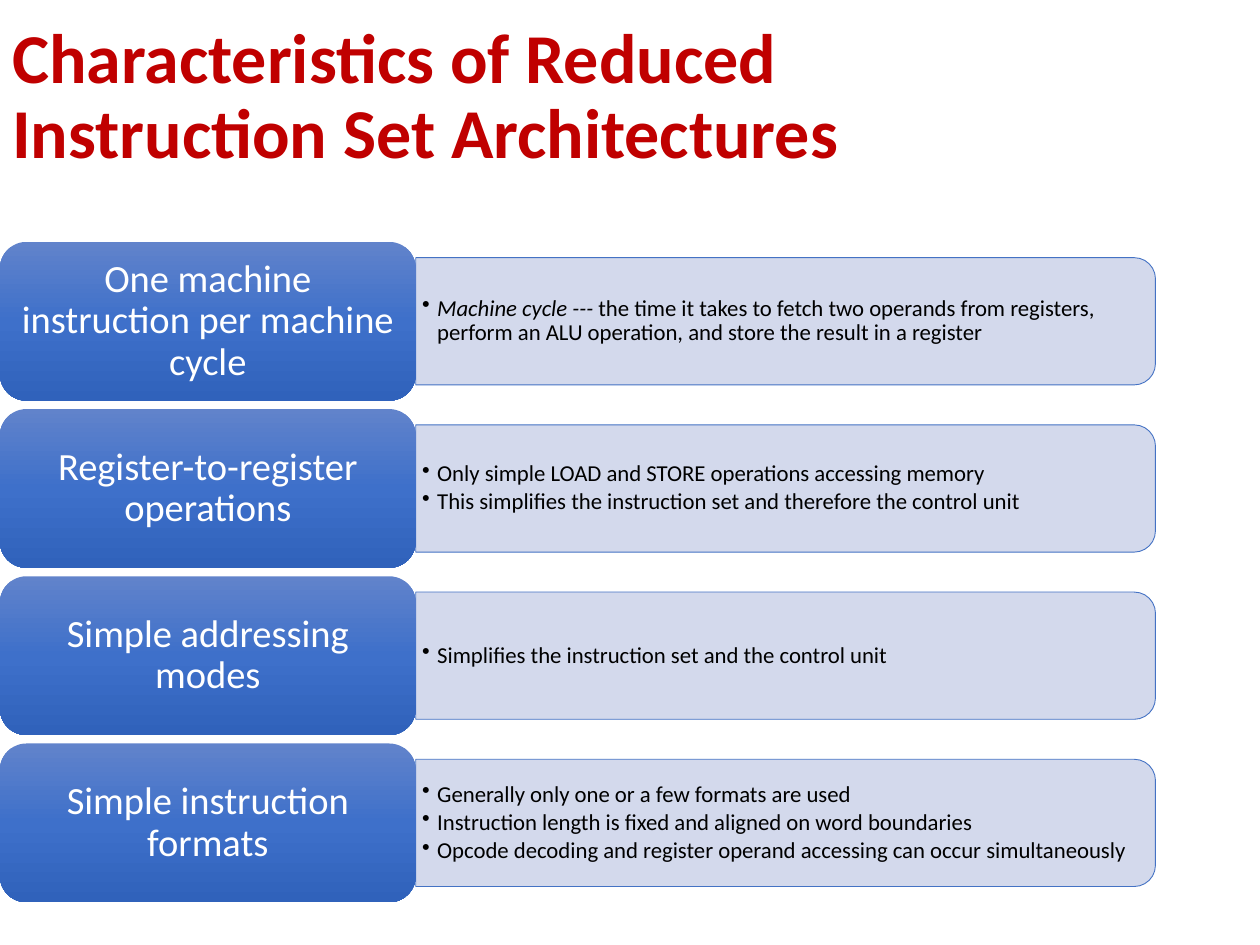
from copy import deepcopy

from lxml import etree
from pptx import Presentation
from pptx.dml.color import RGBColor
from pptx.enum import shapes, text
from pptx.oxml import ns
from pptx.util import Inches, Pt

COLUMNS, ROWS = 100, 75


def color(value):
    return RGBColor.from_string(value)


class Deck:
    font = "Calibri"
    title_color = "C00000"
    heading_stops = ((0, "6183CB"), (0.5, "3E70CA"), (1, "3062BB"))
    detail_fill = "CFD5EA"
    detail_line = "4472C4"

    def __init__(self):
        self.file = Presentation()
        self.file.slide_width, self.file.slide_height = Inches(10), Inches(7.5)
        self.slide = self.file.slides.add_slide(self.file.slide_layouts[6])

    def place(self, left, top, width, height):
        column = self.file.slide_width / COLUMNS
        row = self.file.slide_height / ROWS
        return [round(n) for n in (left * column, top * row, width * column, height * row)]

    def frame(self, shape, side, edge):
        frame = shape.text_frame
        frame.word_wrap = True
        frame.vertical_anchor = text.MSO_ANCHOR.MIDDLE
        frame.margin_left = frame.margin_right = Inches(side)
        frame.margin_top = frame.margin_bottom = Inches(edge)
        return frame

    def style(self, paragraph, size, shade, bold=False):
        paragraph.line_spacing = 0.9
        for run in paragraph.runs:
            run.font.name = self.font
            run.font.size = Pt(size)
            run.font.bold = bold
            run.font.color.rgb = color(shade)

    def title(self, words, *box):
        shape = self.slide.shapes.add_textbox(*self.place(*box))
        frame = self.frame(shape, 0.1, 0.05)
        frame.text = words
        self.style(frame.paragraphs[0], 40, self.title_color, bold=True)

    def heading(self, words, *box):
        shape = self.slide.shapes.add_shape(
            shapes.MSO_SHAPE.ROUNDED_RECTANGLE, *self.place(*box))
        shape.shadow.inherit = False
        shape.line.fill.background()
        shape.fill.gradient()
        shape.fill.gradient_angle = 270
        stops = shape._element.spPr.find(".//" + ns.qn("a:gsLst"))
        stops.insert(1, deepcopy(stops[0]))
        for stop, (position, shade) in zip(shape.fill.gradient_stops, self.heading_stops):
            stop.position = position
            stop.color.rgb = color(shade)
        frame = self.frame(shape, 0.09, 0.05)
        frame.text = words
        frame.paragraphs[0].alignment = text.PP_ALIGN.CENTER
        self.style(frame.paragraphs[0], 22, "FFFFFF")

    def panel(self, left, top, width, height):
        sideways = (left + (width - height) / 2, top + (height - width) / 2, height, width)
        shape = self.slide.shapes.add_shape(
            shapes.MSO_SHAPE.ROUND_2_SAME_RECTANGLE, *self.place(*sideways))
        shape.rotation = 90
        shape.shadow.inherit = False
        shape.fill.solid()
        shape.fill.fore_color.rgb = color(self.detail_fill)
        solid = shape._element.spPr.find(".//" + ns.qn("a:srgbClr"))
        etree.SubElement(solid, ns.qn("a:alpha"), val="90000")
        shape.line.color.rgb = color(self.detail_line)
        shape.line.width = Pt(0.5)

    def bullets(self, points, *box):
        shape = self.slide.shapes.add_textbox(*self.place(*box))
        frame = self.frame(shape, 0.05, 0.03)
        for index, (term, words) in enumerate(points):
            paragraph = frame.add_paragraph() if index else frame.paragraphs[0]
            if term:
                run = paragraph.add_run()
                run.text = term
                run.font.italic = True
            paragraph.add_run().text = words
            self.style(paragraph, 13, "000000")
            paragraph.space_after = Pt(2)
            properties = paragraph._p.get_or_add_pPr()
            properties.set("marL", str(Inches(0.12)))
            properties.set("indent", str(-Inches(0.12)))
            etree.SubElement(properties, ns.qn("a:buChar"), char="•")


CHARACTERISTICS = (
    ("One machine instruction per machine cycle", (
        ("Machine cycle --- ", "the time it takes to fetch two operands from registers, "
         "perform an ALU operation, and store the result in a register"),)),
    ("Register-to-register operations", (
        ("", "Only simple LOAD and STORE operations accessing memory"),
        ("", "This simplifies the instruction set and therefore the control unit"))),
    ("Simple addressing modes", (
        ("", "Simplifies the instruction set and the control unit"),)),
    ("Simple instruction formats", (
        ("", "Generally only one or a few formats are used"),
        ("", "Instruction length is fixed and aligned on word boundaries"),
        ("", "Opcode decoding and register operand accessing can occur simultaneously"))),
)


def main():
    first, pitch = 19.2, 13.27
    heading_width, heading_height = 33, 12.6
    panel_width, panel_height = 58.7, 10.1
    deck = Deck()
    deck.title("Characteristics of Reduced Instruction Set Architectures", 0, 1.7, 82.6, 12.2)
    for index, (name, points) in enumerate(CHARACTERISTICS):
        top = first + index * pitch
        panel_top = top + (heading_height - panel_height) / 2
        deck.panel(heading_width, panel_top, panel_width, panel_height)
        deck.bullets(points, heading_width, top + 1.75, 58.2, 9.1)
        deck.heading(name, 0, top, heading_width, heading_height)
    deck.file.save("out.pptx")


if __name__ == "__main__":
    main()
